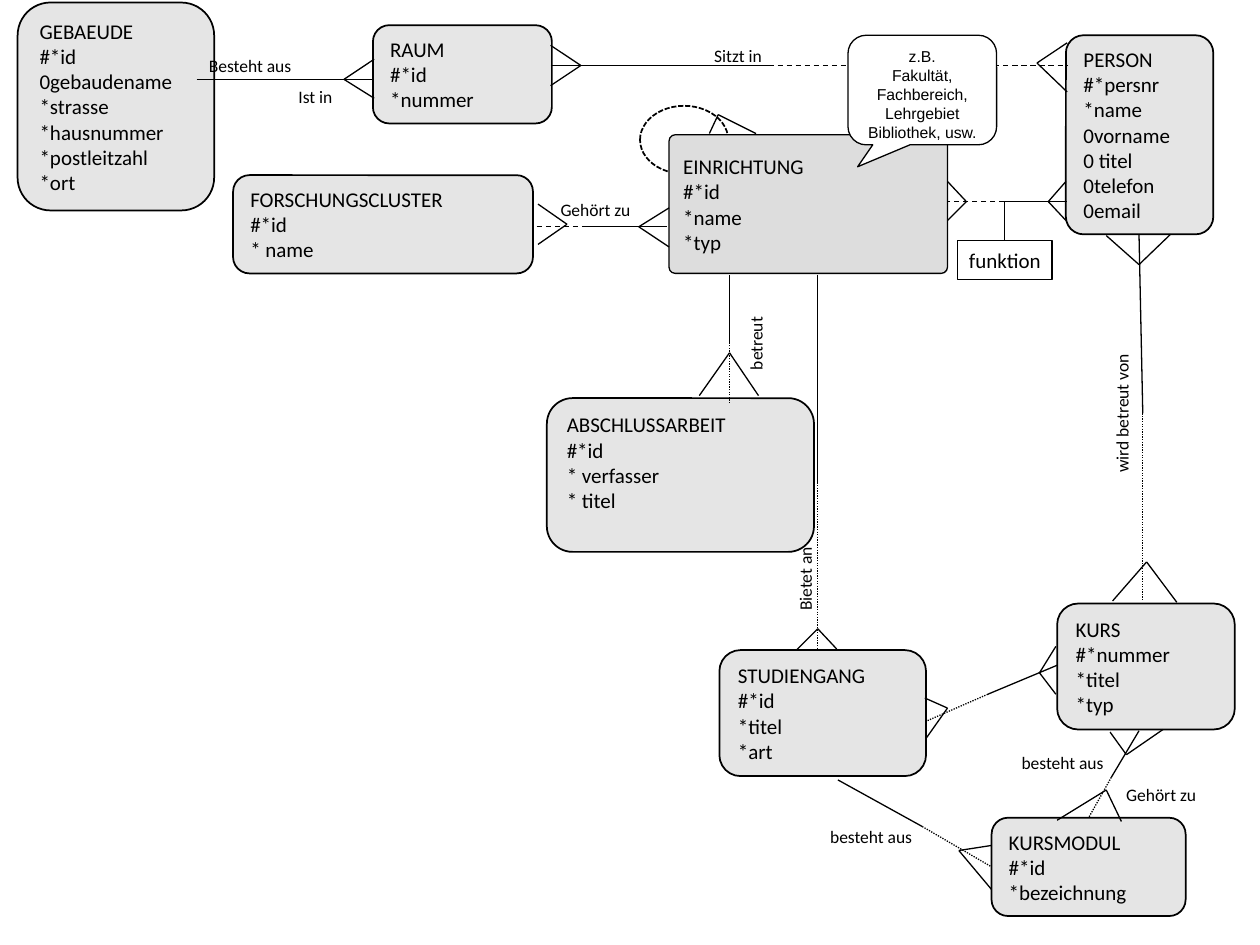
from dataclasses import dataclass
from lxml import etree
from pptx import Presentation
from pptx.dml.color import RGBColor
from pptx.enum import dml, shapes, text
from pptx.oxml import ns
from pptx.util import Inches, Pt


@dataclass(frozen=True)
class Theme:
    ink: str = "000000"
    paper: str = "FFFFFF"
    unit_fill: str = "DDDDDD"
    raum_fill: str = "E6E6E6"
    font: str = "Calibri"
    note_font: str = "Arial"
    entity_size: float = 12
    label_size: float = 10
    note_size: float = 9
    thin: float = 0.74
    outline: float = 0.99
    tint: int = 10


THEME = Theme()
SOLID = None
DASH = dml.MSO_LINE.DASH
DOT = dml.MSO_LINE.ROUND_DOT
SHAPE = shapes.MSO_SHAPE
MIDDLE, TOP = text.MSO_ANCHOR.MIDDLE, text.MSO_ANCHOR.TOP
LEFT, CENTER = text.PP_ALIGN.LEFT, text.PP_ALIGN.CENTER

# Entities: box, corner ratio, fill (None is a black tint), anchor, lines
ENTITIES = [
    ((5.31, 1.07, 2.21, 1.1), 0.045, THEME.unit_fill, MIDDLE,
     ["EINRICHTUNG", "#*id", "*name", "*typ"]),
    ((8.46, 0.28, 1.17, 1.58), 0.12, None, MIDDLE,
     ["PERSON", "#*persnr", "*name", "0vorname", "0 titel", "0telefon", "0email"]),
    ((1.85, 1.39, 2.38, 0.78), 0.167, None, MIDDLE,
     ["FORSCHUNGSCLUSTER", "#*id", "* name"]),
    ((0.14, 0.02, 1.56, 1.65), 0.167, None, MIDDLE,
     ["GEBAEUDE", "#*id", "0gebaudename", "*strasse", "*hausnummer",
      "*postleitzahl", "*ort"]),
    ((5.71, 5.16, 1.64, 1), 0.167, None, MIDDLE,
     ["STUDIENGANG", "#*id", "*titel", "*art"]),
    ((8.39, 4.79, 1.41, 1), 0.167, None, MIDDLE,
     ["KURS", "#*nummer", "*titel", "*typ"]),
    ((2.96, 0.2, 1.42, 0.78), 0.167, THEME.raum_fill, MIDDLE,
     ["RAUM", "#*id", "*nummer"]),
    ((4.34, 3.16, 2.12, 1.22), 0.167, None, TOP,
     ["ABSCHLUSSARBEIT", "#*id", "* verfasser", "* titel"]),
    ((7.87, 6.49, 1.54, 0.78), 0.167, None, MIDDLE,
     ["KURSMODUL", "#*id", "*bezeichnung"]),
]

# Relations: start, end, dash style
RELATIONS = [
    ((1.56, 0.63), (2.97, 0.63), SOLID),
    ((4.37, 0.52), (6.1, 0.52), SOLID), ((6.1, 0.52), (8.47, 0.52), DASH),
    ((4.26, 1.8), (4.66, 1.8), DASH), ((4.66, 1.8), (5.29, 1.8), SOLID),
    ((7.97, 1.6), (8.47, 1.6), SOLID), ((7.97, 1.6), (7.52, 1.6), DASH),
    ((7.97, 1.6), (7.97, 1.91), SOLID),
    ((5.79, 2.73), (5.79, 2.18), SOLID), ((5.79, 3.2), (5.79, 2.73), DOT),
    ((6.49, 2.18), (6.49, 3.83), SOLID), ((6.49, 3.83), (6.49, 5.17), DOT),
    ((9.04, 1.86), (9.07, 3.28), SOLID), ((9.07, 3.28), (9.07, 4.77), DOT),
    ((8.39, 5.28), (7.84, 5.51), SOLID), ((7.84, 5.51), (7.36, 5.72), DOT),
    ((6.65, 6.19), (7.32, 6.56), SOLID), ((7.32, 6.56), (7.87, 6.88), DOT),
    ((9.04, 5.8), (8.82, 6.17), SOLID), ((8.82, 6.17), (8.64, 6.49), DOT),
]

# Crow's feet: tip, then the two toes
CROWS_FEET = [
    ((2.73, 0.63), (2.97, 0.47), (2.97, 0.78)),
    ((4.61, 0.52), (4.37, 0.36), (4.37, 0.68)),
    ((8.23, 0.5), (8.47, 0.34), (8.47, 0.73)),
    ((4.5, 1.78), (4.27, 1.62), (4.27, 1.94)),
    ((5.07, 1.8), (5.31, 1.65), (5.31, 1.96)),
    ((7.67, 1.6), (7.52, 1.44), (7.52, 1.75)),
    ((8.32, 1.6), (8.46, 1.44), (8.46, 1.75)),
    ((5.7, 0.91), (5.63, 1.06), (6, 1.06)),
    ((5.79, 2.8), (5.55, 3.14), (6.02, 3.14)),
    ((6.49, 4.99), (6.32, 5.16), (6.64, 5.15)),
    ((9.04, 2.1), (8.78, 1.87), (9.29, 1.86)),
    ((9.1, 4.46), (8.83, 4.77), (9.34, 4.78)),
    ((8.25, 5.34), (8.38, 5.13), (8.38, 5.51)),
    ((7.52, 5.62), (7.34, 5.54), (7.35, 5.86)),
    ((8.94, 5.99), (8.81, 5.81), (9.23, 5.79)),
    ((8.78, 6.27), (8.39, 6.51), (8.9, 6.52)),
    ((7.61, 6.75), (7.87, 6.71), (7.87, 7.06)),
]

# Labels: text, left, top, width, rotation
LABELS = [
    ("Besteht aus", 1.56, 0.39, 1.02, 0), ("Ist in", 2.27, 0.63, 1.02, 0),
    ("Sitzt in", 5.57, 0.31, 1.02, 0), ("Gehört zu", 4.35, 1.53, 1.02, 0),
    ("betreut", 5.53, 2.43, 0.94, 270), ("Bietet an", 6.03, 4.45, 0.72, 270),
    ("wird betreut von", 8.23, 3.04, 1.35, 270),
    ("besteht aus", 6.49, 6.51, 0.93, 0), ("besteht aus", 8.01, 5.92, 0.93, 0),
    ("Gehört zu", 8.84, 6.17, 0.93, 0),
]


def color(value):
    return RGBColor.from_string(value)


def add_box(slide, preset, box, fill, width, adjustments=()):
    shape = slide.shapes.add_shape(preset, *map(Inches, box))
    shape.shadow.inherit = False
    for index, value in enumerate(adjustments):
        shape.adjustments[index] = value
    if fill:
        shape.fill.solid()
        shape.fill.fore_color.rgb = color(fill)
    else:
        shape.fill.background()
    shape.line.color.rgb = color(THEME.ink)
    shape.line.width = Pt(width)
    return shape


def write(shape, paragraphs, size, font=THEME.font, align=LEFT, anchor=MIDDLE, wrap=True):
    """Each paragraph is a list of runs, parted by line breaks."""
    frame = shape.text_frame
    frame.word_wrap = wrap
    frame.vertical_anchor = anchor
    for index, lines in enumerate(paragraphs):
        paragraph = frame.add_paragraph() if index else frame.paragraphs[0]
        paragraph.alignment = align
        for number, line in enumerate(lines):
            if number:
                paragraph.add_line_break()
            run = paragraph.add_run()
            run.text = line
            run.font.size = Pt(size)
            run.font.name = font
            run.font.color.rgb = color(THEME.ink)


def add_entity(slide, box, corner, fill, anchor, lines):
    shape = add_box(slide, SHAPE.ROUNDED_RECTANGLE, box, fill or THEME.ink,
                    THEME.thin if fill == THEME.unit_fill else THEME.outline, [corner])
    if not fill:
        tone = shape.fill._xPr.find(ns.qn("a:solidFill"))[0]
        etree.SubElement(tone, ns.qn("a:alpha"), val=str(THEME.tint * 1000))
    write(shape, [[line] for line in lines], THEME.entity_size, anchor=anchor)


def add_line(slide, start, end, dash=SOLID):
    line = slide.shapes.add_connector(
        shapes.MSO_CONNECTOR.STRAIGHT, *map(Inches, start + end))
    line.line.color.rgb = color(THEME.ink)
    line.line.width = Pt(THEME.thin)
    if dash:
        line.line.dash_style = dash
    etree.SubElement(line._element.spPr, ns.qn("a:effectLst"))


def add_label(slide, words, left, top, width, rotation):
    label = slide.shapes.add_textbox(*map(Inches, (left, top, width, 0.27)))
    label.rotation = rotation
    write(label, [[words]], THEME.label_size, anchor=TOP)


def build_diagram(slide):
    # Self relation and entities
    loop = add_box(slide, SHAPE.OVAL, (5.08, 0.84, 0.7, 0.54), None, THEME.outline)
    loop.line.dash_style = dml.MSO_LINE.SQUARE_DOT
    for entity in ENTITIES:
        add_entity(slide, *entity)

    # Relations with their crow's feet
    for relation in RELATIONS:
        add_line(slide, *relation)
    for tip, *toes in CROWS_FEET:
        for toe in toes:
            add_line(slide, tip, toe)

    # Labels, relation attribute and note
    for label in LABELS:
        add_label(slide, *label)
    attribute = add_box(slide, SHAPE.RECTANGLE, (7.6, 1.91, 0.75, 0.31), None, THEME.thin)
    write(attribute, [["funktion"]], THEME.entity_size, align=CENTER, wrap=False)
    note = add_box(slide, SHAPE.ROUNDED_RECTANGULAR_CALLOUT, (6.73, 0.28, 1.18, 0.87),
                   THEME.paper, THEME.thin, (-0.435, 0.7, 0.167))
    write(note, [["z.B.", "Fakultät, Fachbereich,", "Lehrgebiet", "Bibliothek, usw."]],
          THEME.note_size, THEME.note_font, CENTER, TOP)


presentation = Presentation()
presentation.slide_width, presentation.slide_height = Inches(10), Inches(7.5)
build_diagram(presentation.slides.add_slide(presentation.slide_layouts[6]))
presentation.save("out.pptx")
